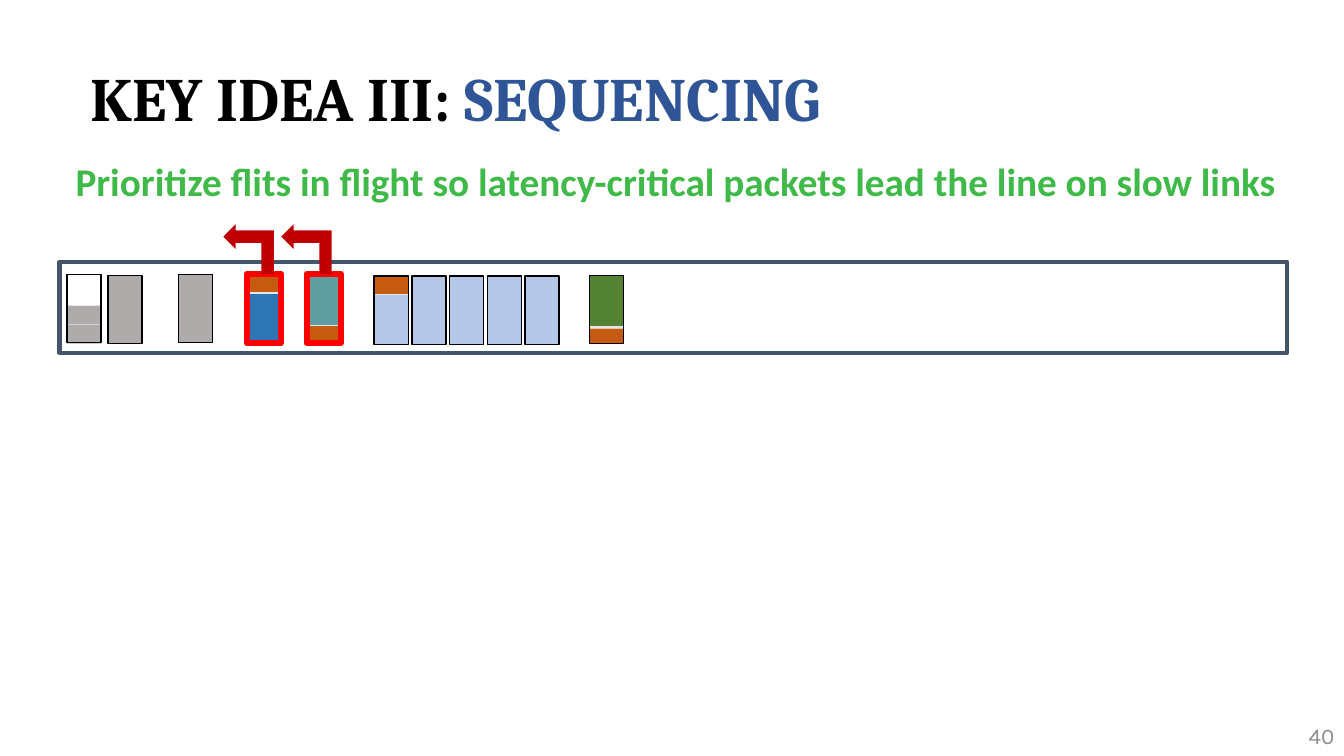
from pptx import Presentation
from pptx import util as u
from pptx.dml import color
from pptx.enum import shapes, text
from pptx.oxml import parse_xml
from pptx.oxml.ns import nsdecls


def paint(target, value):
    target.rgb = color.RGBColor.from_string(value)


def box(x, y, w, h, fill=None, line=None, width=1, kind=shapes.MSO_SHAPE.RECTANGLE):
    sp = s.shapes.add_shape(kind, u.Cm(x), u.Cm(y), u.Cm(w), u.Cm(h))
    sp.shadow.inherit = False
    if fill:
        sp.fill.solid()
        paint(sp.fill.fore_color, fill)
    else:
        sp.fill.background()
    if line:
        paint(sp.line.color, line)
        sp.line.width = u.Pt(width)
    else:
        sp.line.fill.background()
    return sp


GREY, ORANGE, PALE, EDGE = "AFABAB", "C55A11", "B4C7E7", "E7E6E6"
FLIT_W, FLIT_H = 0.86, 1.72

prs = Presentation()
prs.slide_width, prs.slide_height = u.Cm(33.87), u.Cm(19.05)
s = prs.slides.add_slide(prs.slide_layouts[1])
title, body = s.shapes.title, s.placeholders[1]
number = s.shapes.add_textbox(0, 0, 0, 0)

texts = [
    (title, (2.03, 0.71, 26.97, 3.68), "MIDDLE", "LEFT", 0.9, 44, "Cambria", True,
     [("KEY IDEA III: ", "000000"), ("SEQUENCING", "2F5597")]),
    (body, (1.65, 3.96, 32.21, 1.68), "TOP", "LEFT", 0.9, 28, "Calibri", True,
     [("Prioritize flits in flight so latency-critical packets lead the line on slow links", "3FBA48")]),
    (number, (26.26, 18.03, 7.62, 1.02), "MIDDLE", "RIGHT", 1.0, 16, "Karla", False,
     [("40", "8C8C8C")]),
]
for sp, place, anchor, align, spacing, size, font, bold, runs in texts:
    sp.left, sp.top, sp.width, sp.height = map(u.Cm, place)
    tf = sp.text_frame
    tf.word_wrap = True
    tf.auto_size = text.MSO_AUTO_SIZE.NONE
    tf.vertical_anchor = text.MSO_ANCHOR[anchor]
    p = tf.paragraphs[0]
    p.alignment = text.PP_ALIGN[align]
    p.line_spacing = spacing
    p.space_before = u.Pt(0)
    if sp is body:
        pPr = p._p.get_or_add_pPr()
        pPr.set("marL", "0")
        pPr.set("indent", "0")
        pPr.append(parse_xml(f"<a:buNone {nsdecls('a')}/>"))
    for words, value in runs:
        r = p.add_run()
        r.text = words
        r.font.name, r.font.size, r.font.bold = font, u.Pt(size), bold
        paint(r.font.color, value)

box(1.5, 6.6, 30.94, 2.29, line="44546A", width=3)

packets = [
    (1.69, 6.92, [(7.7, 0.48, GREY, EDGE), (8.18, 0.48, GREY, None)]),
    (2.72, 6.94, [(6.94, FLIT_H, GREY, None)]),
    (4.5, 6.92, [(6.92, FLIT_H, GREY, None)]),
    (6.25, 6.93, [(7.39, 1.27, "2E75B6", None), (6.93, 0.46, ORANGE, EDGE)]),
    (7.77, 6.93, [(8.2, 0.48, ORANGE, None), (6.93, 1.27, "5F9EA0", EDGE)]),
    (9.43, 6.96, [(7.42, 1.26, PALE, None), (6.96, 0.46, ORANGE, EDGE)]),
    (14.86, 6.94, [(8.28, 0.38, ORANGE, None), (6.94, 1.3, "548235", EDGE)]),
]
for i in range(1, 5):
    packets.append((9.43 + 0.95 * i, 6.96, [(6.96, FLIT_H, PALE, None)]))

for x, y, flits in packets:
    for top, height, fill, edge in flits:
        box(x, top, FLIT_W, height, fill, edge)
    box(x, y, FLIT_W, FLIT_H, line="000000")

for frame_x, arrow_x in [(6.22, 5.64), (7.73, 7.1)]:
    box(frame_x, 6.9, 0.86, 1.75, line="FF0000", width=4.5)
    arrow = box(arrow_x, 5.64, 1.25, 1.27, "C00000", kind=shapes.MSO_SHAPE.BENT_UP_ARROW)
    arrow.rotation = 270

prs.save("out.pptx")
